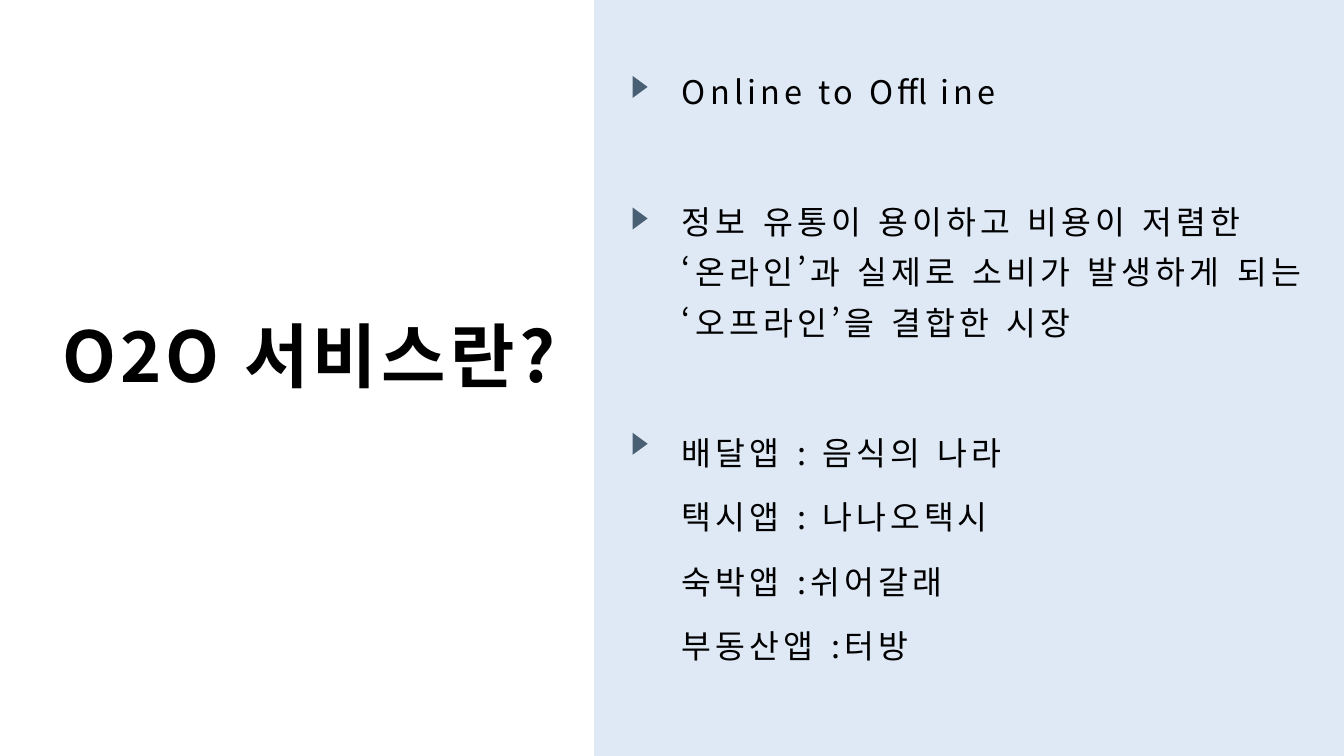
from lxml import etree
from pptx import Presentation
from pptx import util as u
from pptx.dml.color import RGBColor
from pptx.enum import lang, shapes, text
from pptx.oxml.ns import qn

WIDTH, HEIGHT = u.Inches(13.33), u.Inches(7.5)
FONT = "Noto Sans CJK KR"
WHITE = RGBColor(0xFF, 0xFF, 0xFF)
BLACK = RGBColor(0, 0, 0)
PALE_BLUE = RGBColor(0xD5, 0xE2, 0xF2)
SLATE = RGBColor(0x49, 0x5F, 0x73)

PANEL_LEFT = 0.442
BODY_SIZE = 23.2
LINE_SPACING = 1.3
ROW_GAP, TOPIC_GAP = 10, 56.5
MARKER_TOPS = (0.105, 0.279, 0.577)
TOPICS = (
    ("Online to Offline",),
    ("정보 유통이 용이하고 비용이 저렴한 ‘온라인’과 실제로 소비가 "
     "발생하게 되는 ‘오프라인’을 결합한 시장",),
    ("배달앱 : 음식의 나라", "택시앱 : 나나오택시",
     "숙박앱 :쉬어갈래", "부동산앱 :터방"),
)


def place(left, top, width, height):
    """Turn shares of the slide's size into lengths."""
    return (int(WIDTH * left), int(HEIGHT * top),
            int(WIDTH * width), int(HEIGHT * height))


def add_filled(page, kind, area, color, opacity=100):
    shape = page.shapes.add_shape(kind, *area)
    shape.shadow.inherit = False
    shape.fill.solid()
    shape.fill.fore_color.rgb = color
    shape.line.fill.background()
    if opacity < 100:
        tint = shape.fill._xPr.find(qn("a:solidFill"))[0]
        etree.SubElement(tint, qn("a:alpha"), val=str(opacity * 1000))
    return shape


def add_text_frame(page, area, wrap, anchor):
    frame = page.shapes.add_textbox(*area).text_frame
    frame.word_wrap = wrap
    frame.vertical_anchor = anchor
    return frame


def add_span(para, words, size, bold=False):
    """Add a Korean run with the slide's font and 3 pt letter spacing."""
    span = para.add_run()
    span.text = words
    span.font.size = u.Pt(size)
    span.font.bold = bold
    span.font.name = FONT
    span.font.color.rgb = BLACK
    span.font.language_id = lang.MSO_LANGUAGE_ID.KOREAN
    props = span.font._element
    props.set("spc", "300")
    etree.SubElement(props, qn("a:ea"), typeface=FONT)


def add_title(page):
    frame = add_text_frame(page, place(0.039, 0.38, 0.374, 0.193),
                           False, text.MSO_ANCHOR.MIDDLE)
    para = frame.paragraphs[0]
    para.line_spacing = 0.9
    add_span(para, "O2O 서비스란?", 50, bold=True)


def add_topics(page):
    frame = add_text_frame(page, place(0.5, 0.073, 0.5, 0.89),
                           True, text.MSO_ANCHOR.TOP)
    for number, topic in enumerate(TOPICS):
        for row, words in enumerate(topic):
            first = number == row == 0
            para = frame.paragraphs[0] if first else frame.add_paragraph()
            para.line_spacing = LINE_SPACING
            if not first:
                para.space_before = u.Pt(ROW_GAP if row else TOPIC_GAP)
            add_span(para, words, BODY_SIZE)


def main():
    deck = Presentation()
    deck.slide_width, deck.slide_height = WIDTH, HEIGHT
    page = deck.slides.add_slide(deck.slide_layouts[6])
    page.background.fill.solid()
    page.background.fill.fore_color.rgb = WHITE
    add_filled(page, shapes.MSO_SHAPE.RECTANGLE,
               place(PANEL_LEFT, 0, 1 - PANEL_LEFT, 1), PALE_BLUE, opacity=74)
    add_title(page)
    add_topics(page)
    for top in MARKER_TOPS:
        marker = add_filled(page, shapes.MSO_SHAPE.ISOSCELES_TRIANGLE,
                            place(0.468, top, 0.0165, 0.02), SLATE)
        marker.rotation = 90
    deck.save("out.pptx")


if __name__ == "__main__":
    main()
